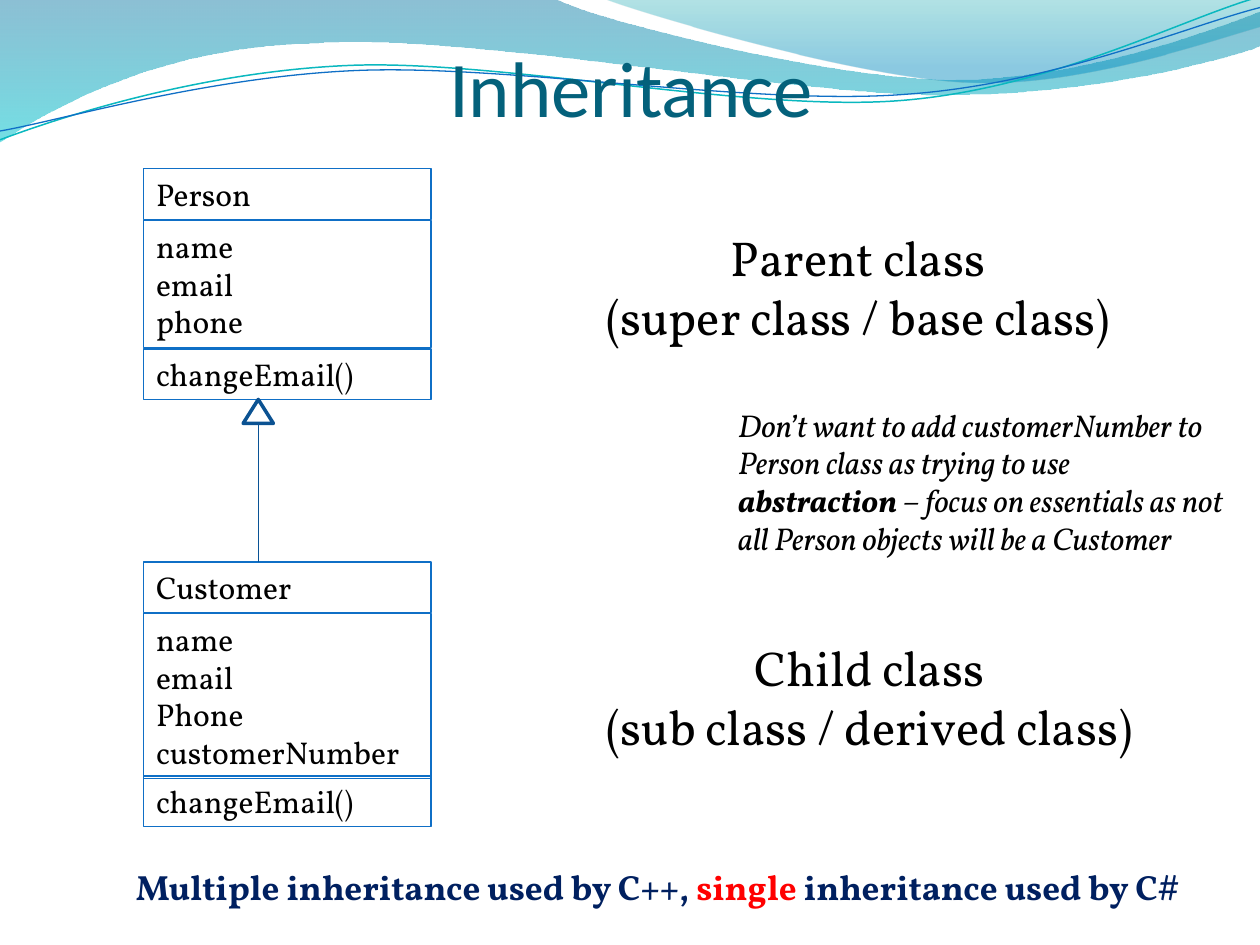
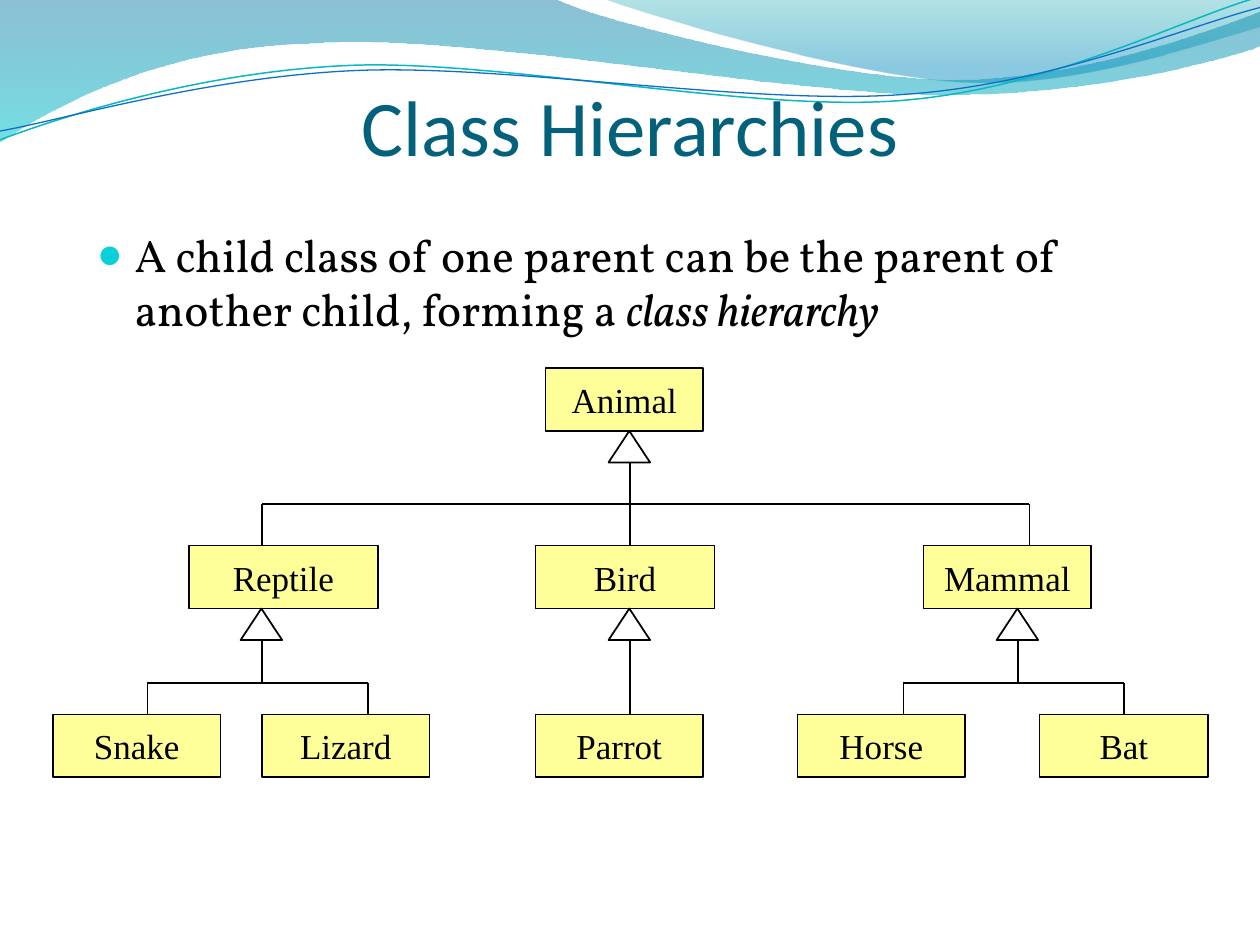
from lxml.etree import SubElement
from pptx import Presentation
from pptx.dml.color import RGBColor
from pptx.enum.shapes import MSO_CONNECTOR, MSO_SHAPE
from pptx.enum.text import MSO_ANCHOR, MSO_AUTO_SIZE, PP_ALIGN
from pptx.oxml.ns import qn
from pptx.util import Inches, Pt

BLACK = RGBColor(0x00, 0x00, 0x00)
WHITE = RGBColor(0xFF, 0xFF, 0xFF)
RED = RGBColor(0xFF, 0x00, 0x00)
NAVY = RGBColor(0x00, 0x20, 0x60)
TITLE_TEAL = RGBColor(0x04, 0x61, 0x7B)
BULLET_CYAN = RGBColor(0x0B, 0xD0, 0xD9)
CLASS_BLUE = RGBColor(0x0F, 0x6F, 0xC6)
ARROWHEAD_BLUE = RGBColor(0x0B, 0x52, 0x92)
ARROW_BLUE = RGBColor(0x09, 0x52, 0x95)
NODE_YELLOW = RGBColor(0xFF, 0xFF, 0x99)
WAVE_CYAN = RGBColor(0x0A, 0xB8, 0xBF)
DEEP_BLUE = RGBColor(0x00, 0x74, 0xA1)
BRIGHT_CYAN = RGBColor(0x00, 0xC6, 0xCF)
DEEP_CYAN = RGBColor(0x00, 0xA1, 0xA9)
SKY_BLUE = RGBColor(0x00, 0x8B, 0xBF)

TITLE_FONT, BODY_FONT, NODE_FONT = "Calibri", "Vollkorn", "Times New Roman"

WAVE_BANDS = [
    ([(0, 0), [(4.4, -0.01)],
      [(4.76, 0.17), (6.64, 0.63), (7.58, 0.63)], [(8.53, 0.63), (9.58, 0.26), (10, 0.09)],
      [(10.01, 0.36)], [(9.83, 0.44), (8.7, 0.76), (7.46, 0.75)],
      [(6.22, 0.75), (3.82, 0.28), (2.57, 0.34)], [(1.29, 0.36), (0.46, 0.83), (-0.01, 1.13)]],
     [(0, DEEP_BLUE, 45), (1, BRIGHT_CYAN, 55)]),
    ([(4.79, -0.01), [(5.09, 0.11), (6.82, 0.62), (7.69, 0.65)],
      [(8.56, 0.69), (9.61, 0.32), (10, 0.21)], [(10, 0)]],
     [(0, DEEP_CYAN, 30), (0.8, SKY_BLUE, 45)]),
]
WAVE_LINES = [
    ([(0, 1.11), [(0.48, 0.93), (1.58, 0.57), (2.77, 0.52)],
      [(3.95, 0.47), (5.93, 0.89), (7.13, 0.8)], [(8.33, 0.71), (9.38, 0.15), (9.98, -0.02)]],
     WAVE_CYAN, 0.85),
    ([(0, 1.04), [(0.47, 0.96), (1.64, 0.61), (2.83, 0.56)],
      [(4.03, 0.51), (5.97, 0.84), (7.17, 0.75)], [(8.36, 0.67), (9.41, 0.21), (10, 0.06)]],
     CLASS_BLUE, 0.75),
]

LEVEL_TOPS = [0, 1.41, 2.75]
NODE_HEIGHT = 0.5
NODES = {
    "Animal": (0, 3.91, 1.25),
    "Reptile": (1, 1.08, 1.5),
    "Bird": (1, 3.83, 1.42),
    "Mammal": (1, 6.91, 1.33),
    "Snake": (2, 0, 1.33),
    "Lizard": (2, 1.66, 1.33),
    "Parrot": (2, 3.83, 1.33),
    "Horse": (2, 5.91, 1.33),
    "Bat": (2, 7.83, 1.34),
}
BRANCHES = [
    ("Animal", 4.58, 0.33, {"Reptile": 1.66, "Bird": 4.58, "Mammal": 7.75}),
    ("Reptile", 1.66, 0.25, {"Snake": 0.75, "Lizard": 2.5}),
    ("Bird", 4.58, 0.25, {"Parrot": 4.58}),
    ("Mammal", 7.66, 0.25, {"Horse": 6.75, "Bat": 8.5}),
]


def add_outline(slide, path, close):
    """Draw a freeform whose three-point segments are Bézier curves."""
    start, *segments = path
    builder = slide.shapes.build_freeform(*map(Inches, start))
    builder.add_line_segments([tuple(map(Inches, segment[-1])) for segment in segments], close)
    shape = builder.convert_to_shape()
    shape.shadow.inherit = False
    for straight, segment in zip(list(shape.element.iter(qn("a:lnTo"))), segments):
        if len(segment) == 3:
            straight.clear()
            straight.tag = qn("a:cubicBezTo")
            for x, y in segment:
                SubElement(straight, qn("a:pt"), x=str(Inches(x) - shape.left),
                           y=str(Inches(y) - shape.top))
    return shape


def add_wave(slide):
    """Draw the translucent bands and thin curves along the top edge."""
    for path, stops in WAVE_BANDS:
        band = add_outline(slide, path, True)
        band.line.fill.background()
        band.fill.gradient()
        band.fill.gradient_angle = 270
        for stop, (position, color, _) in zip(band.fill.gradient_stops, stops):
            stop.position = position
            stop.color.rgb = color
        for color_element, (_, _, opacity) in zip(band.element.iter(qn("a:srgbClr")), stops):
            SubElement(color_element, qn("a:alpha"), val=str(opacity * 1000))
    for path, color, width in WAVE_LINES:
        curve = add_outline(slide, path, False)
        curve.fill.background()
        curve.line.color.rgb = color
        curve.line.width = Pt(width)


def write_text(frame, paragraphs, font, size, color=BLACK, align=PP_ALIGN.LEFT):
    """Fill a text frame with paragraphs, each a string or a list of runs."""
    for index, content in enumerate(paragraphs):
        paragraph = frame.add_paragraph() if index else frame.paragraphs[0]
        paragraph.alignment = align
        for text in [content] if isinstance(content, str) else content:
            paragraph.add_run().text = text
        paragraph.font.name = font
        paragraph.font.size = Pt(size)
        paragraph.font.color.rgb = color


def add_text(slide, box, paragraphs, size, font=BODY_FONT, **style):
    """Add a wrapping text box and return its frame."""
    frame = slide.shapes.add_textbox(*map(Inches, box)).text_frame
    frame.word_wrap = True
    write_text(frame, paragraphs, font, size, **style)
    return frame


def add_title(slide, box, text):
    """Add the centred slide title."""
    frame = add_text(slide, box, [text], 45, TITLE_FONT, color=TITLE_TEAL, align=PP_ALIGN.CENTER)
    frame.vertical_anchor = MSO_ANCHOR.BOTTOM
    frame.margin_left = frame.margin_right = frame.margin_bottom = 0


def add_figure(slide, preset, box, line_color, line_width, fill=None):
    """Add an outlined preset shape, filled only when a colour is given."""
    shape = slide.shapes.add_shape(preset, *map(Inches, box))
    shape.shadow.inherit = False
    if fill is None:
        shape.fill.background()
    else:
        shape.fill.solid()
        shape.fill.fore_color.rgb = fill
    shape.line.color.rgb = line_color
    shape.line.width = Pt(line_width)
    return shape


def add_line(slide, start, end, color=BLACK, width=1):
    """Add a straight connector between two points."""
    connector = slide.shapes.add_connector(
        MSO_CONNECTOR.STRAIGHT, *map(Inches, (*start, *end)))
    connector.line.color.rgb = color
    connector.line.width = Pt(width)
    SubElement(connector.element.spPr, qn("a:effectLst"))
    return connector


def add_class_box(slide, left, top, offsets, sections):
    """Draw a class as stacked name, attribute and method compartments."""
    for offset, lines in zip(offsets, sections):
        box = (left, top + offset, 2.28, 0.1 + 0.303 * len(lines))
        compartment = add_figure(slide, MSO_SHAPE.RECTANGLE, box, CLASS_BLUE, 0.75)
        frame = compartment.text_frame
        frame.vertical_anchor = MSO_ANCHOR.TOP
        frame.auto_size = MSO_AUTO_SIZE.SHAPE_TO_FIT_TEXT
        write_text(frame, lines, BODY_FONT, 18)


def add_node(slide, left, top, width, name):
    """Draw one yellow class of the hierarchy."""
    node = add_figure(slide, MSO_SHAPE.RECTANGLE, (left, top, width, NODE_HEIGHT),
                      BLACK, 1, NODE_YELLOW)
    node.text_frame.word_wrap = False
    node.text_frame.vertical_anchor = MSO_ANCHOR.MIDDLE
    write_text(node.text_frame, [name], NODE_FONT, 20, align=PP_ALIGN.CENTER)
    return node


def add_branch(slide, trunk, parent_bottom, child_top, bar_gap, drops):
    """Link children to a parent; drops pairs each child shape with its x."""
    bar = child_top - bar_gap
    if len(drops) > 1:
        xs = [x for _, x in drops]
        add_line(slide, (min(xs), bar), (max(xs), bar))
        for child, x in drops:
            drop = add_line(slide, (x, bar), (x, child_top))
            if abs(child.left + child.width / 2 - Inches(x)) < Inches(0.01):
                drop.end_connect(child, 0)
    trunk_start = bar if len(drops) > 1 else child_top
    add_line(slide, (trunk, trunk_start), (trunk, parent_bottom))
    add_figure(slide, MSO_SHAPE.ISOSCELES_TRIANGLE,
               (trunk - 0.17, parent_bottom, 0.33, 0.25), BLACK, 1, WHITE)


def add_hierarchy(slide, left, top):
    """Draw the animal class tree from its top-left corner."""
    shapes = {name: add_node(slide, left + x, top + LEVEL_TOPS[level], width, name)
              for name, (level, x, width) in NODES.items()}
    for parent, trunk, bar_gap, children in BRANCHES:
        level = NODES[parent][0]
        drops = [(shapes[name], left + x) for name, x in children.items()]
        add_branch(slide, left + trunk, top + LEVEL_TOPS[level] + NODE_HEIGHT,
                   top + LEVEL_TOPS[level + 1], bar_gap, drops)


def add_slide(presentation, title, title_box):
    """Add a blank slide with the wave and its title."""
    slide = presentation.slides.add_slide(presentation.slide_layouts[6])
    add_wave(slide)
    add_title(slide, title_box, title)
    return slide


def build_inheritance(presentation):
    """Build the slide with a parent and a child class."""
    slide = add_slide(presentation, "Inheritance", (0.51, 0.44, 9, 0.62))
    add_class_box(slide, 1.14, 1.34, (0, 0.41, 1.43),
                  [["Person"], ["name", "email", "phone"], ["changeEmail()"]])
    add_class_box(slide, 1.14, 4.46, (0, 0.41, 1.7),
                  [["Customer"], ["name", "email", "Phone", "customerNumber"],
                   ["changeEmail()"]])
    add_text(slide, (4.37, 1.76, 4.88, 1.04),
             ["Parent class", "(super class / base class)"], 28, align=PP_ALIGN.CENTER)
    add_text(slide, (4.54, 5.01, 4.72, 1.04),
             ["Child class", "(sub class / derived class)"], 28, align=PP_ALIGN.CENTER)

    summary = add_text(
        slide, (0.98, 6.82, 8.5, 0.44),
        [["Multiple inheritance used by C++, ", "single", " inheritance used by C#"]],
        20, color=NAVY).paragraphs[0]
    summary.font.bold = True
    summary.runs[1].font.color.rgb = RED

    note = add_text(
        slide, (5.76, 3.17, 4.05, 1.62),
        [["Don’t want to add customerNumber to Person class as trying to use ", "abstraction",
          " – focus on essentials as not all Person objects will be a Customer"]],
        18).paragraphs[0]
    note.font.italic = True
    note.runs[1].font.bold = True

    add_figure(slide, MSO_SHAPE.ISOSCELES_TRIANGLE, (1.93, 3.17, 0.24, 0.19), ARROWHEAD_BLUE, 2)
    add_line(slide, (2.05, 3.36), (2.05, 4.46), ARROW_BLUE, 0.75)


def add_bullet(slide, box, runs):
    """Add a bulleted paragraph and return it."""
    paragraph = add_text(slide, box, [runs], 26).paragraphs[0]
    paragraph.space_before = Pt(5.2)
    properties = paragraph._p.pPr
    properties.set("marL", str(Inches(0.3)))
    properties.set("indent", str(-Inches(0.3)))
    bullet_color = SubElement(properties, qn("a:buClr"))
    SubElement(bullet_color, qn("a:srgbClr"), val=str(BULLET_CYAN))
    SubElement(properties, qn("a:buSzPct"), val="95000")
    SubElement(properties, qn("a:buFont"), typeface=NODE_FONT)
    SubElement(properties, qn("a:buChar"), char="●")
    properties.append(properties.find(qn("a:defRPr")))
    return paragraph


def build_hierarchies(presentation):
    """Build the slide with the class tree."""
    slide = add_slide(presentation, "Class Hierarchies", (0.5, 0.52, 9, 0.85))
    bullet = add_bullet(
        slide, (0.67, 1.75, 8.67, 4.83),
        ["A child class of one parent can be the parent of another child, forming a ",
         "class hierarchy"])
    bullet.runs[1].font.italic = True
    add_hierarchy(slide, 0.42, 2.92)


def main():
    """Build and save the presentation."""
    presentation = Presentation()
    presentation.slide_width = Inches(10)
    presentation.slide_height = Inches(7.5)
    build_inheritance(presentation)
    build_hierarchies(presentation)
    presentation.save("out.pptx")


if __name__ == "__main__":
    main()
